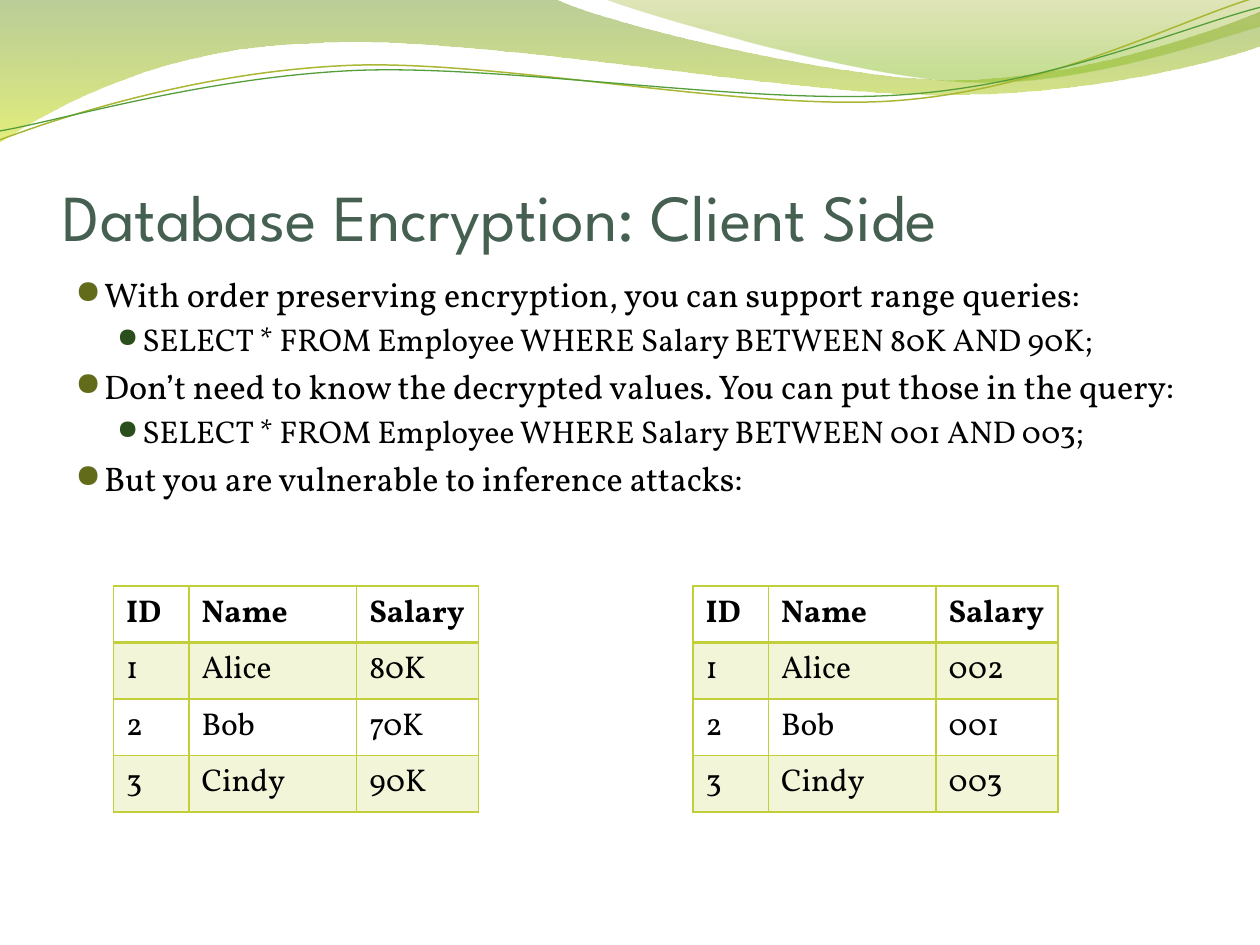
from dataclasses import dataclass

from lxml.etree import SubElement as Sub
from pptx import Presentation
from pptx.dml.color import RGBColor as RGB
from pptx.enum.text import MSO_ANCHOR as Anchor
from pptx.oxml.ns import qn
from pptx.util import Cm, Pt


@dataclass(frozen=True)
class Theme:
    head: str = "League Spartan"
    body: str = "Vollkorn"
    mark: str = "OpenSymbol"
    title: str = "455F51"
    ink: str = "000000"
    grid: str = "C0CF3A"
    gold: str = "A9B733"
    green: str = "549E39"
    title_pt: float = 37.5
    cell_pt: float = 18
    # by level: size, bullet colour, bullet percent, margin, hang
    levels: tuple = ((19.5, "626B1A", 95, 0.58, 0.58),
                     (18, "2A4F1C", 85, 1.35, 0.51))
    band: tuple = ((0, "69921C", 45), (1, "CCE10F", 55))
    veil: tuple = ((0, "9BAA1A", 30), (0.8, "81BA16", 45))


def fade(node, alphas):
    """Set the opacity, in percent, of each RGB colour under the node."""
    for color, alpha in zip(node.iter(qn("a:srgbClr")), alphas):
        Sub(color, qn("a:alpha"), val=str(alpha * 1000))


class Deck:
    def __init__(self, theme):
        self.theme = theme
        self.prs = Presentation()
        self.prs.slide_width, self.prs.slide_height = Cm(25.4), Cm(19.05)
        self.slide = self.prs.slides.add_slide(self.prs.slide_layouts[6])
        self.shapes = self.slide.shapes

    def outline(self, parts, close):
        """Join a start point, lines (2 numbers) and Bezier curves (6)."""
        start, *rest = [[Cm(n) for n in part] for part in parts]
        pen = self.shapes.build_freeform(*start)
        for part in rest:
            pen.add_line_segments(list(zip(part[::2], part[1::2])), close=False)
        if close:
            pen.add_line_segments([start], close=True)
        shape = pen.convert_to_shape()
        shape.shadow.inherit = False
        lines = iter(list(shape.element.iter(qn("a:lnTo"))))
        for part in rest:
            node = next(lines)
            if len(part) == 6:
                node.tag = qn("a:cubicBezTo")
                for spare in (next(lines), next(lines)):
                    node.append(spare[0])
                    spare.getparent().remove(spare)
        return shape

    def wave(self, parts, stops):
        shape = self.outline(parts, True)
        shape.line.fill.background()
        shape.fill.gradient()
        shape.fill.gradient_angle = 270
        for stop, (pos, color, _) in zip(shape.fill.gradient_stops, stops):
            stop.position = pos
            stop.color.rgb = RGB.from_string(color)
        fade(shape.element, [alpha for *_, alpha in stops])

    def curve(self, parts, color, width):
        shape = self.outline(parts, False)
        shape.fill.background()
        shape.line.color.rgb = RGB.from_string(color)
        shape.line.width = Pt(width)

    def style(self, para, face, size, color, bold=False):
        for run in para.runs:
            font = run.font
            font.name, font.size, font.bold = face, Pt(size), bold
            font.color.rgb = RGB.from_string(color)

    def frame(self, left, top, width, height):
        box = self.shapes.add_textbox(Cm(left), Cm(top), Cm(width), Cm(height))
        box.text_frame.word_wrap = True
        return box.text_frame

    def title(self, text, *box):
        frame = self.frame(*box)
        frame.vertical_anchor = Anchor.BOTTOM
        frame.margin_left = frame.margin_right = frame.margin_bottom = 0
        frame.text = text
        th = self.theme
        self.style(frame.paragraphs[0], th.head, th.title_pt, th.title)

    def bullets(self, items, *box):
        frame = self.frame(*box)
        frame.text = "\n".join(text for _, text in items)
        for para, (level, _) in zip(frame.paragraphs, items):
            size, color, scale, margin, hang = self.theme.levels[level]
            para.level = level
            self.style(para, self.theme.body, size, self.theme.ink)
            props = para._p.get_or_add_pPr()
            props.set("marL", str(Cm(margin)))
            props.set("indent", str(-Cm(hang)))
            Sub(Sub(props, qn("a:spcBef")), qn("a:spcPct"), val="20000")
            Sub(Sub(props, qn("a:buClr")), qn("a:srgbClr"), val=color)
            Sub(props, qn("a:buSzPct"), val=str(scale * 1000))
            Sub(props, qn("a:buFont"), typeface=self.theme.mark)
            Sub(props, qn("a:buChar"), char="●")

    def border(self, cell, row):
        """Draw all four sides, with a heavier rule under the header row."""
        props = cell._tc.get_or_add_tcPr()
        heavy = {0: "B", 1: "T"}.get(row)
        for i, side in enumerate("LRTB"):
            width = Pt(2 if side == heavy else 1)
            line = Sub(props, qn(f"a:ln{side}"), w=str(width))
            fill = Sub(line, qn("a:solidFill"))
            Sub(fill, qn("a:srgbClr"), val=self.theme.grid)
            props.insert(i, line)

    def table(self, rows, left, top, widths, height):
        th = self.theme
        grid = self.shapes.add_table(
            len(rows), len(widths), Cm(left), Cm(top),
            Cm(sum(widths)), Cm(height * len(rows))).table
        grid.horz_banding = grid.first_row = False
        for col, width in zip(grid.columns, widths):
            col.width = Cm(width)
        for r, row in enumerate(rows):
            grid.rows[r].height = Cm(height)
            for c, text in enumerate(row):
                cell = grid.cell(r, c)
                cell.text_frame.text = text
                self.style(cell.text_frame.paragraphs[0], th.body,
                           th.cell_pt, th.ink, r == 0)
                if r % 2:
                    cell.fill.solid()
                    cell.fill.fore_color.rgb = RGB.from_string(th.grid)
                    fade(cell._tc.get_or_add_tcPr(), [20])
                else:
                    cell.fill.background()
                self.border(cell, r)


def main():
    th = Theme()
    deck = Deck(th)
    deck.wave([(0, 0), (11.18, -0.03),
               (12.07, 0.43, 16.84, 1.6, 19.25, 1.6),
               (21.67, 1.6, 24.33, 0.66, 25.4, 0.23), (25.43, 0.91),
               (24.97, 1.12, 22.07, 1.93, 18.95, 1.91),
               (15.8, 1.91, 9.68, 0.71, 6.53, 0.86),
               (3.28, 0.91, 1.17, 2.11, -0.03, 2.87)], th.band)
    deck.wave([(12.17, -0.03), (12.93, 0.28, 17.32, 1.57, 19.51, 1.65),
               (21.72, 1.75, 24.41, 0.81, 25.4, 0.53), (25.4, 0)], th.veil)
    deck.curve([(0, 2.82), (1.22, 2.36, 3.99, 1.45, 7.01, 1.32),
                (10.03, 1.19, 15.04, 2.26, 18.08, 2.03),
                (21.16, 1.8, 23.83, 0.38, 25.32, -0.05)], th.gold, 0.85)
    deck.curve([(0, 2.64), (1.19, 2.44, 4.14, 1.55, 7.19, 1.42),
                (10.21, 1.3, 15.16, 2.13, 18.21, 1.91),
                (21.23, 1.7, 23.9, 0.53, 25.4, 0.15)], th.green, 0.75)

    deck.title("Database Encryption: Client Side", 1.27, 1.96, 22.86, 3.18)
    query = "SELECT * FROM Employee WHERE Salary BETWEEN {} AND {};"
    deck.bullets([
        (0, "With order preserving encryption, you can support range queries:"),
        (1, query.format("80K", "90K")),
        (0, "Don’t need to know the decrypted values. "
            "You can put those in the query:"),
        (1, query.format("001", "003")),
        (0, "But you are vulnerable to inference attacks:"),
    ], 1.27, 5.38, 22.86, 12.19)

    names = ("Alice", "Bob", "Cindy")
    for left, pay in ((2.29, ("80K", "70K", "90K")),
                      (13.97, ("002", "001", "003"))):
        rows = [("ID", "Name", "Salary")]
        rows += zip("123", names, pay)
        deck.table(rows, left, 11.81, (1.52, 3.38, 2.46), 1.14)
    deck.prs.save("out.pptx")


if __name__ == "__main__":
    main()
